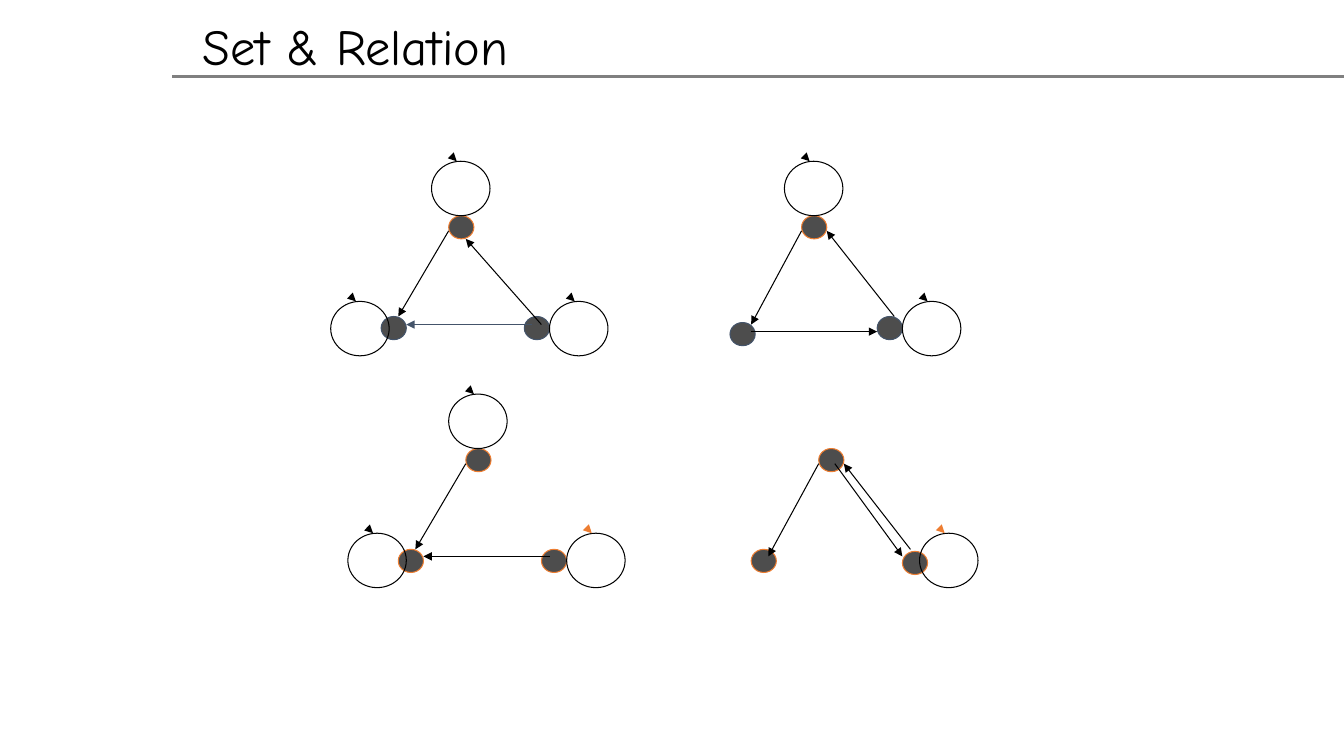
"""Build the Set & Relation slide with four directed graphs."""
from pptx import Presentation
from pptx.dml.color import RGBColor
from pptx.enum.shapes import MSO_CONNECTOR, MSO_SHAPE
from pptx.enum.text import MSO_AUTO_SIZE
from pptx.oxml.ns import qn
from pptx.util import Inches, Pt
from lxml.etree import SubElement

COLORS = {"black": "000000", "node": "4D4D4D", "orange": "ED7D31",
          "slate": "44546A", "rule": "808080"}

deck = Presentation()
deck.slide_width, deck.slide_height = Inches(13.33), Inches(7.5)
page = deck.slides.add_slide(deck.slide_layouts[6])


def add_line(start, end, color="black", width=0.75, arrow=True):
    line = page.shapes.add_connector(
        MSO_CONNECTOR.STRAIGHT, *[Inches(value) for value in start + end])
    line.line.color.rgb = RGBColor.from_string(COLORS[color])
    line.line.width = Pt(width)
    if arrow:
        SubElement(line.line._get_or_add_ln(), qn("a:tailEnd"), type="triangle")
    SubElement(line._element.spPr, qn("a:effectLst"))


def add_circle(left, top, width, height, outline, fill=None):
    circle = page.shapes.add_shape(
        MSO_SHAPE.OVAL, *[Inches(value) for value in (left, top, width, height)])
    circle.shadow.inherit = False
    circle.line.color.rgb = RGBColor.from_string(COLORS[outline])
    circle.line.width = Pt(0.75)
    if fill:
        circle.fill.solid()
        circle.fill.fore_color.rgb = RGBColor.from_string(COLORS[fill])
    else:
        circle.fill.background()


add_line((1.71, 0.76), (13.33, 0.76), "rule", 2, arrow=False)

graphs = [
    {"nodes": [(4.45, 2.14, "orange"), (3.78, 3.14, "slate"), (5.2, 3.14, "slate")],
     "loops": [(4.28, 1.6, "black"), (3.28, 2.99, "black"), (5.45, 2.99, "black")],
     "edges": [((4.45, 2.29), (3.95, 3.14), "black"),
               ((5.28, 3.22), (4.03, 3.22), "slate"),
               ((5.37, 3.22), (4.62, 2.37), "black")]},
    {"nodes": [(7.95, 2.14, "orange"), (7.24, 3.2, "slate"), (8.7, 3.14, "slate")],
     "loops": [(7.78, 1.6, "black"), (8.95, 2.99, "black")],
     "edges": [((7.95, 2.29), (7.45, 3.22), "black"),
               ((8.87, 3.14), (8.2, 2.29), "black"),
               ((7.45, 3.29), (8.7, 3.29), "black")]},
    {"nodes": [(4.62, 4.45, "orange"), (3.95, 5.45, "orange"), (5.37, 5.45, "orange")],
     "loops": [(4.45, 3.91, "black"), (3.45, 5.29, "black"), (5.62, 5.29, "orange")],
     "edges": [((4.62, 4.6), (4.12, 5.45), "black"),
               ((5.45, 5.52), (4.2, 5.52), "black")]},
    {"nodes": [(8.12, 4.45, "orange"), (7.45, 5.45, "orange"), (8.95, 5.47, "orange")],
     "loops": [(9.12, 5.29, "orange")],
     "edges": [((8.28, 4.6), (8.95, 5.52), "black"),
               ((8.12, 4.6), (7.62, 5.52), "black"),
               ((9.03, 5.45), (8.37, 4.6), "black")]},
]
for graph in graphs:
    for left, top, outline in graph["nodes"]:
        add_circle(left, top, 0.25, 0.23, outline, "node")
    for left, top, head_color in graph["loops"]:
        add_circle(left, top, 0.58, 0.54, "black")
        add_line((left + 0.24, top - 0.01), (left + 0.25, top), head_color)
    for start, end, color in graph["edges"]:
        add_line(start, end, color)

title_box = page.shapes.add_textbox(Inches(1.91), Inches(0.1), Inches(6.3), Inches(0.71))
title_box.text_frame.word_wrap = True
title_box.text_frame.auto_size = MSO_AUTO_SIZE.SHAPE_TO_FIT_TEXT
span = title_box.text_frame.paragraphs[0].add_run()
span.text = "Set & Relation"
span.font.name = "Comic Neue"
span.font.size = Pt(36)
span.font.color.rgb = RGBColor.from_string(COLORS["black"])

deck.save("out.pptx")
